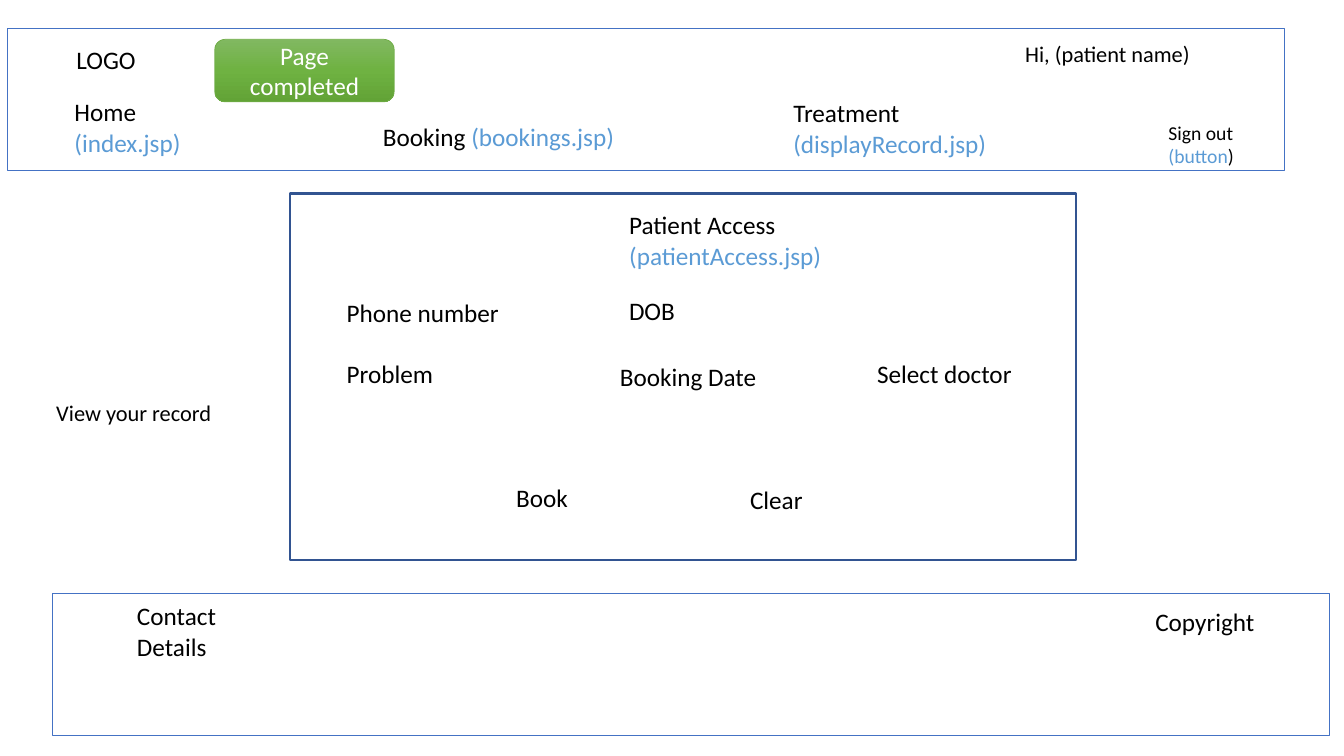
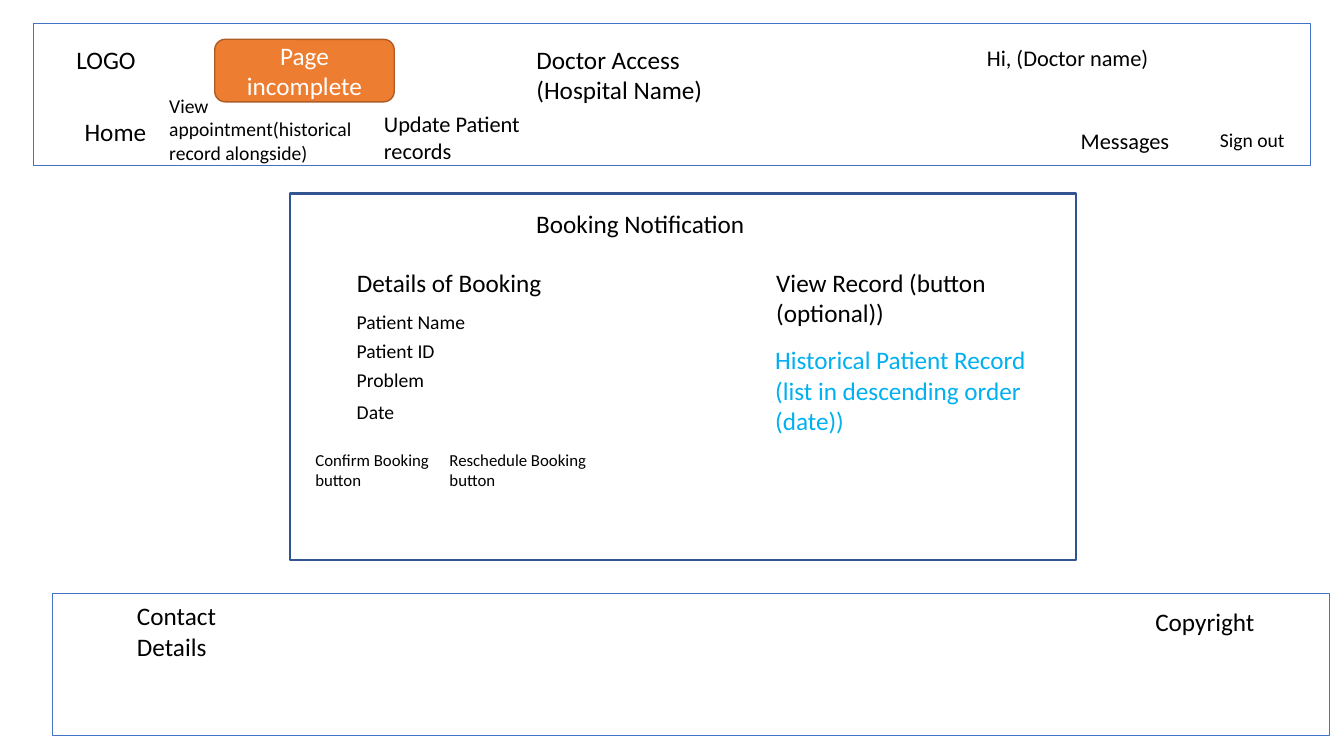
from copy import deepcopy

from pptx import Presentation
from pptx.dml.color import RGBColor
from pptx.enum.shapes import MSO_SHAPE as Shape
from pptx.enum.text import MSO_ANCHOR as Anchor, MSO_AUTO_SIZE as AutoSize, PP_ALIGN as Align
from pptx.oxml.ns import qn
from pptx.util import Emu, Pt

PX = 9144  # EMU per px: 100 px to the inch
TITLE_ONLY = 5

BLACK = RGBColor(0x00, 0x00, 0x00)
WHITE = RGBColor(0xFF, 0xFF, 0xFF)
NAVY = RGBColor(0x32, 0x54, 0x91)
BLUE = RGBColor(0x44, 0x72, 0xC4)
PAGE_BLUE = RGBColor(0x5B, 0x9B, 0xD5)
SKY = RGBColor(0x00, 0xB0, 0xF0)
GREEN = RGBColor(0x70, 0xAD, 0x47)
GREEN_SHADES = (RGBColor(0x81, 0xB8, 0x61), RGBColor(0x6F, 0xB2, 0x42), RGBColor(0x62, 0xA3, 0x36))
ORANGE = RGBColor(0xED, 0x7D, 0x31)
RUST = RGBColor(0xAF, 0x5C, 0x24)


class Wireframe:
    """Holds the shared style and the slide being drawn."""
    font = "Calibri"
    size = 18
    panel_box = (288, 192, 779, 364)
    band_size = (1267, 141)
    badge_box = (213, 39, 178, 62)

    def __init__(self):
        self.deck = Presentation()
        self.deck.slide_width, self.deck.slide_height = Emu(1333 * PX), Emu(750 * PX)
        self.slide = None

    def page(self, band_left, band_top):
        """Start a page with its panel, header band, footer and logo label."""
        self.slide = self.deck.slides.add_slide(self.deck.slide_layouts[TITLE_ONLY])
        self.frame(*self.panel_box, NAVY, 1.5)
        for left, top in ((band_left, band_top), (52, 589)):
            self.frame(left, top, *self.band_size, BLUE, 0.75)
        self.label(66, 39, 186, "LOGO")
        self.label(126, 591, 139, "Contact Details")
        self.label(1136, 597, 139, "Copyright")

    def shape(self, kind, left, top, width, height, line, weight):
        shape = self.slide.shapes.add_shape(kind, *(Emu(n * PX) for n in (left, top, width, height)))
        shape.shadow.inherit = False
        shape.line.color.rgb = line
        shape.line.width = Pt(weight)
        return shape

    def frame(self, left, top, width, height, line, weight):
        self.shape(Shape.RECTANGLE, left, top, width, height, line, weight).fill.background()

    def fill_text(self, text_frame, lines, size, color, align=Align.LEFT):
        """Fill a frame; a line is a string or a list of (text, color) parts."""
        text_frame.word_wrap = True
        for number, line in enumerate(lines):
            paragraph = text_frame.add_paragraph() if number else text_frame.paragraphs[0]
            paragraph.alignment = align
            font = paragraph.font
            font.name, font.size = self.font, Pt(size)
            font.color.rgb = color
            for text, part_color in [(line, color)] if isinstance(line, str) else line:
                run = paragraph.add_run()
                run.text = text
                if part_color != color:
                    run.font.color.rgb = part_color

    def label(self, left, top, width, *lines, size=size, color=BLACK):
        box = self.slide.shapes.add_textbox(*(Emu(n * PX) for n in (left, top, width, 40)))
        box.text_frame.auto_size = AutoSize.SHAPE_TO_FIT_TEXT
        self.fill_text(box.text_frame, lines, size, color)

    def title(self, left, top, *lines):
        title = self.slide.shapes.title
        title.left, title.top, title.width, title.height = (Emu(n * PX) for n in (left, top, 239, 71))
        title.text_frame.auto_size = AutoSize.NONE
        title.text_frame.vertical_anchor = Anchor.TOP
        self.fill_text(title.text_frame, lines, self.size, BLACK)

    def badge(self, text, fills, line, weight):
        """Status badge: one fill colour, or several for a vertical gradient."""
        badge = self.shape(Shape.ROUNDED_RECTANGLE, *self.badge_box, line, weight)
        if len(fills) == 1:
            badge.fill.solid()
            badge.fill.fore_color.rgb = fills[0]
        else:
            badge.fill.gradient()
            badge.fill.gradient_angle = 270
            stop_list = badge._element.spPr.find(qn("a:gradFill")).find(qn("a:gsLst"))
            while len(stop_list) < len(fills):
                stop_list.append(deepcopy(stop_list[0]))
            for number, (stop, color) in enumerate(zip(badge.fill.gradient_stops, fills)):
                stop.position = number / (len(fills) - 1)
                stop.color.rgb = color
        badge.text_frame.vertical_anchor = Anchor.MIDDLE
        self.fill_text(badge.text_frame, [text], self.size, WHITE, Align.CENTER)


def patient_page(site):
    site.page(7, 28)
    site.title(614, 203, "Patient Access", [("(patientAccess.jsp)", PAGE_BLUE)])

    # Header: greeting and navigation
    site.label(1007, 35, 313, "Hi, (patient name)", size=16)
    for left, top, width, name, target in (
        (64, 91, 190, "Home ", "(index.jsp)"),
        (370, 115, 324, "Booking ", "(bookings.jsp)"),
        (777, 92, 313, "Treatment ", "(displayRecord.jsp)"),
    ):
        site.label(left, top, width, [(name, BLACK), (target, PAGE_BLUE)])
    site.label(1149, 115, 117, [("Sign out ", BLACK), ("(button", PAGE_BLUE), (")", BLACK)], size=14)

    # Booking form
    for left, top, field in (
        (334, 290, "Phone number"), (614, 288, "DOB"),
        (334, 351, "Problem"), (605, 354, "Booking Date"), (860, 351, "Select doctor"),
        (502, 474, "Book"), (734, 476, "Clear"),
    ):
        site.label(left, top, 172, field)

    site.label(46, 391, 194, "View your record", size=16)
    site.badge("Page completed", GREEN_SHADES, GREEN, 0.5)


def doctor_page(site):
    site.page(33, 23)
    site.title(522, 39, "Doctor Access", "(Hospital Name)")

    # Header: greeting and navigation
    for left, top, width, size, item in (
        (969, 39, 313, 16, "Hi, (Doctor name)"),
        (74, 110, 139, 18, "Home"),
        (158, 88, 216, 14, "View appointment(historical record alongside)"),
        (371, 104, 220, 16, "Update Patient records"),
        (1062, 121, 139, 16, "Messages"),
        (1200, 122, 117, 14, "Sign out"),
    ):
        site.label(left, top, width, item, size=size)

    # Booking details
    site.label(522, 202, 302, "Booking Notification")
    site.label(344, 260, 248, "Details of Booking")
    for top, field in ((303, "Patient Name"), (331, "Patient ID"), (360, "Problem"), (392, "Date")):
        site.label(344, top, 177, field, size=14)
    for left, action in ((303, "Confirm"), (436, "Reschedule")):
        site.label(left, 441, 177, f"{action} Booking button", size=12)

    # Patient record
    site.label(760, 260, 248, "View Record (button (optional))")
    site.label(759, 337, 302, "Historical Patient Record (list in descending order (date))", color=SKY)
    site.badge("Page incomplete", [ORANGE], RUST, 1)


def main():
    site = Wireframe()
    patient_page(site)
    doctor_page(site)
    site.deck.save("out.pptx")


if __name__ == "__main__":
    main()
